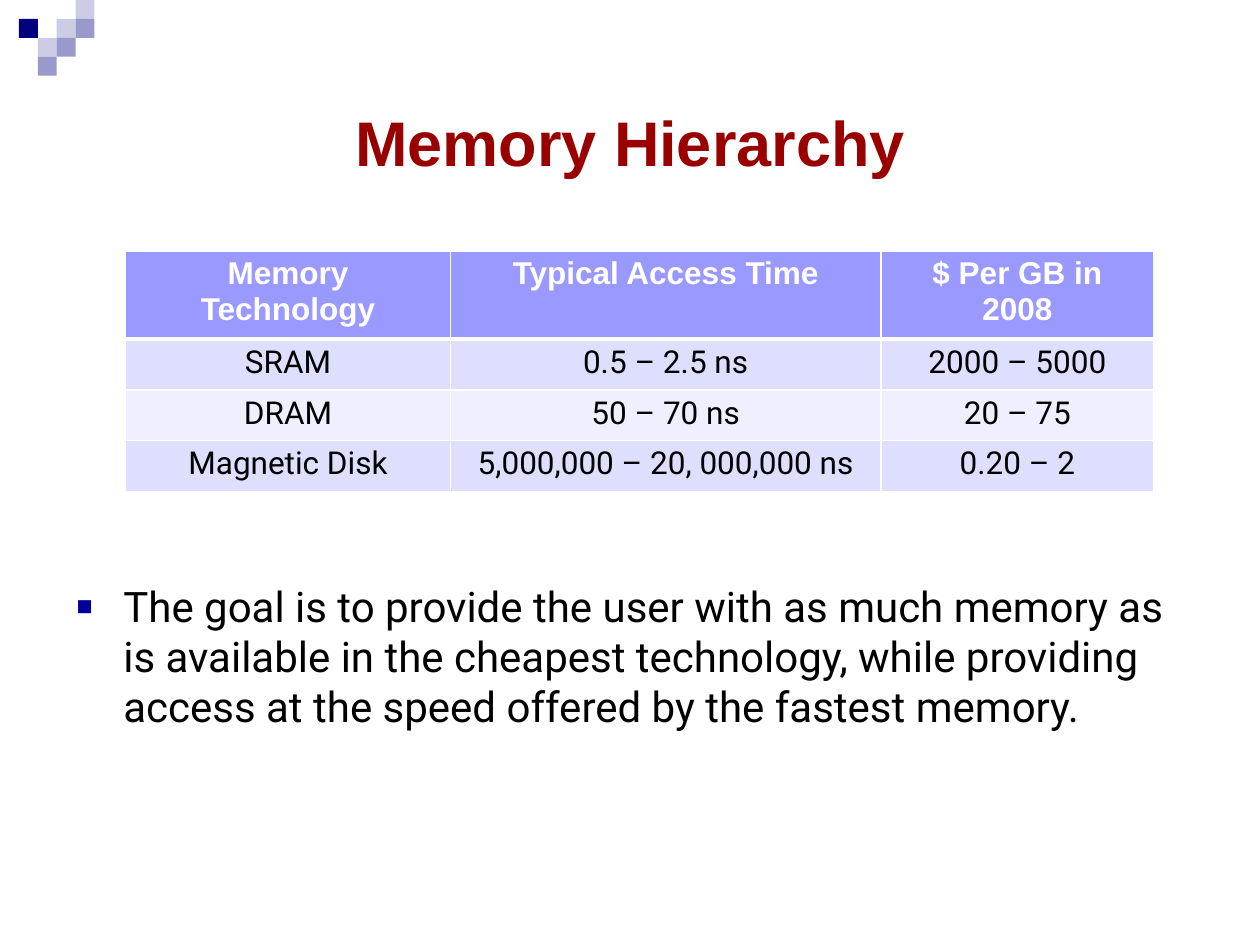
import pptx
import pptx.dml.color
import pptx.enum.shapes
import pptx.enum.text
import pptx.oxml
import pptx.oxml.ns
import pptx.util

Pt = pptx.util.Pt
ALIGN = pptx.enum.text.PP_ALIGN
COLORS = {
    "title": "990000", "text": "000000", "bullet": "000099", "white": "FFFFFF",
    "header": "9999FF", "odd": "DEDEFF", "even": "EFEFFF",
    "light": "CCCCE6", "mid": "9999CC", "navy": "00007D",
}


def rgb(name):
    return pptx.dml.color.RGBColor.from_string(COLORS[name])


def element(xml):
    """Parse one DrawingML element whose opening tag ends in {ns}."""
    return pptx.oxml.parse_xml(xml.replace("{ns}", pptx.oxml.ns.nsdecls("a")))


def write(frame, text, size=18, font="Roboto", color="text", bold=False,
          align=ALIGN.CENTER):
    para = frame.paragraphs[0]
    para.alignment = align
    span = para.add_run()
    span.text = text
    span.font.size = Pt(size)
    span.font.name = font
    span.font.bold = bold
    span.font.color.rgb = rgb(color)
    return para


class SlideBuilder:
    def __init__(self, deck):
        self.slide = deck.slides.add_slide(deck.slide_layouts[6])

    def square(self, left, top, side, color):
        shape = self.slide.shapes.add_shape(
            pptx.enum.shapes.MSO_SHAPE.RECTANGLE, Pt(left), Pt(top), Pt(side), Pt(side))
        shape.shadow.inherit = False
        shape.fill.solid()
        shape.fill.fore_color.rgb = rgb(color)
        shape.line.fill.background()

    def text(self, left, top, width, height, text, inset_top=0, **style):
        box = self.slide.shapes.add_textbox(Pt(left), Pt(top), Pt(width), Pt(height))
        frame = box.text_frame
        frame.word_wrap = True
        frame.margin_left = frame.margin_right = frame.margin_bottom = 0
        frame.margin_top = Pt(inset_top)
        return write(frame, text, **style)

    def bullet(self, *place, **style):
        para = self.text(*place, align=ALIGN.LEFT, **style)
        properties = para._p.get_or_add_pPr()
        properties.set("marL", str(Pt(28)))
        properties.set("indent", str(Pt(-27.4)))
        for xml in (f'<a:buClr {{ns}}><a:srgbClr val="{COLORS["bullet"]}"/></a:buClr>',
                    '<a:buSzPct {ns} val="125000"/>',
                    '<a:buFont {ns} typeface="Arial"/>',
                    '<a:buChar {ns} char="▪"/>'):
            properties.append(element(xml))

    def borders(self, cell, top, bottom):
        properties = cell._tc.get_or_add_tcPr()
        widths = {"lnL": 1, "lnR": 1, "lnT": top, "lnB": bottom}
        for index, (tag, width) in enumerate(widths.items()):
            properties.insert(index, element(
                f'<a:{tag} {{ns}} w="{Pt(width)}"><a:solidFill>'
                f'<a:srgbClr val="{COLORS["white"]}"/></a:solidFill></a:{tag}>'))

    def table(self, left, top, widths, heights, rows):
        grid = self.slide.shapes.add_table(
            len(rows), len(widths), Pt(left), Pt(top),
            Pt(sum(widths)), Pt(sum(heights))).table
        for column, width in zip(grid.columns, widths):
            column.width = Pt(width)
        for number, (row, height, texts) in enumerate(zip(grid.rows, heights, rows)):
            row.height = Pt(height)
            header = number == 0
            fill = "header" if header else ("even", "odd")[number % 2]
            style = dict(font="Arial", color="white", bold=True) if header else {}
            for cell, text in zip(row.cells, texts):
                cell.margin_left = cell.margin_right = Pt(25 if header else 0)
                cell.margin_top, cell.margin_bottom = Pt(2.9), 0
                cell.fill.solid()
                cell.fill.fore_color.rgb = rgb(fill)
                self.borders(cell, 3 if number == 1 else 1, 3 if header else 1)
                write(cell.text_frame, text, **style)


def main():
    deck = pptx.Presentation()
    deck.slide_width, deck.slide_height = Pt(720), Pt(540)
    page = SlideBuilder(deck)

    side = 10.8
    corner_squares = {
        "light": [(3, 1), (4, 0), (2, 2)],
        "mid": [(4, 1), (3, 2), (2, 3)],
        "navy": [(1, 1)],
    }
    for color, places in corner_squares.items():
        for column, row in places:
            page.square(column * side, row * side, side, color)

    page.text(74, 41, 572, 78.5, "Memory Hierarchy", inset_top=18,
              size=36, font="Arial", color="title", bold=True)
    page.bullet(42.5, 330.5, 624, 88.5,
                "The goal is to provide the user with as much memory as is available "
                "in the cheapest technology, while providing access at the speed "
                "offered by the fastest memory.", inset_top=1, size=24)
    page.table(71.8, 143.5, [185.6, 246, 156], [50.2, 29.2, 29, 29], [
        ["Memory Technology", "Typical Access Time", "$ Per GB in 2008"],
        ["SRAM", "0.5 – 2.5 ns", "2000 – 5000"],
        ["DRAM", "50 – 70 ns", "20 – 75"],
        ["Magnetic Disk", "5,000,000 – 20, 000,000 ns", "0.20 – 2"],
    ])
    deck.save("out.pptx")


if __name__ == "__main__":
    main()
